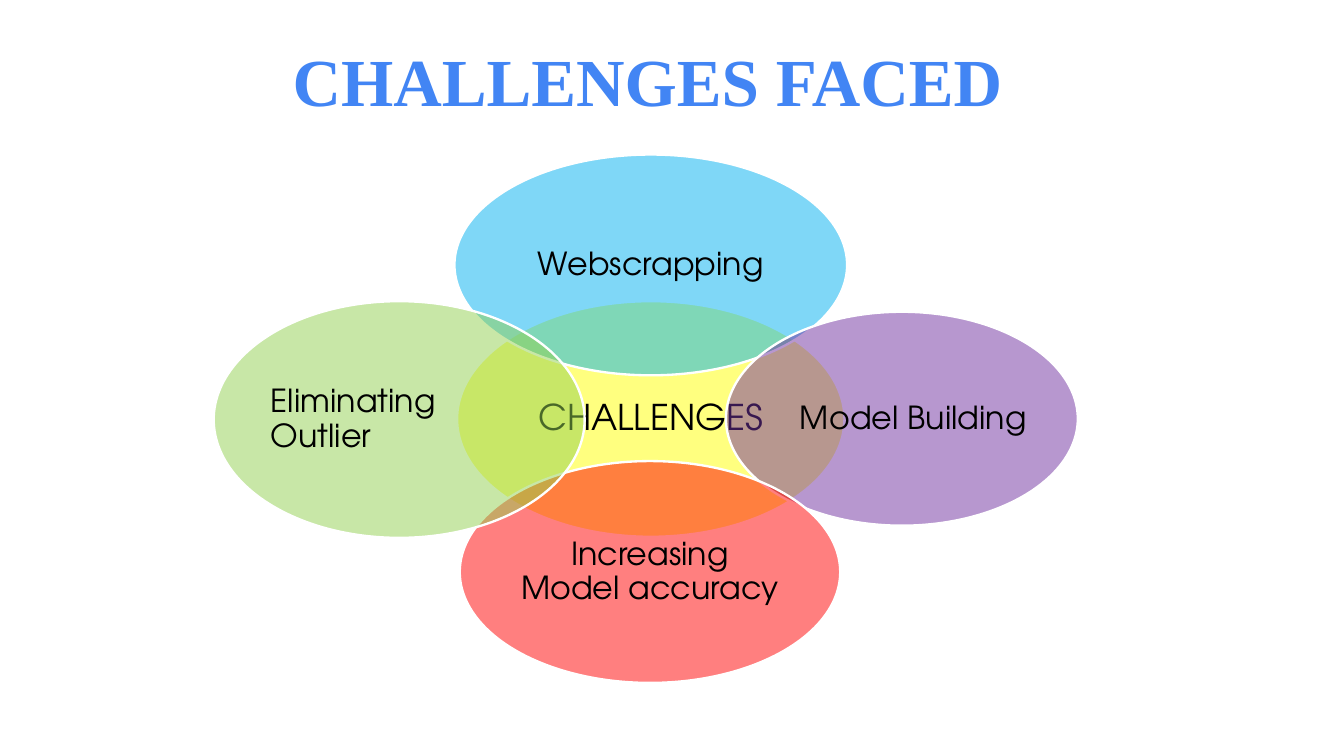
from pptx import Presentation
from pptx.dml.color import RGBColor
from pptx.enum.shapes import MSO_SHAPE
from pptx.enum.text import MSO_ANCHOR, PP_ALIGN
from pptx.oxml.ns import qn
from pptx.util import Cm, Pt
from lxml import etree

OVAL = MSO_SHAPE.OVAL
LEFT, CENTER = PP_ALIGN.LEFT, PP_ALIGN.CENTER
TOP, MIDDLE = MSO_ANCHOR.TOP, MSO_ANCHOR.MIDDLE

BLACK = RGBColor(0x00, 0x00, 0x00)
WHITE = RGBColor(0xFF, 0xFF, 0xFF)
TITLE_BLUE = RGBColor(0x42, 0x85, 0xF4)
YELLOW = RGBColor(0xFF, 0xFF, 0x00)
SKY = RGBColor(0x00, 0xB0, 0xF0)
PURPLE = RGBColor(0x70, 0x30, 0xA0)
RED = RGBColor(0xFF, 0x00, 0x00)
GREEN = RGBColor(0x92, 0xD0, 0x50)

LABEL_FONT = "TeX Gyre Adventor"
TITLE_FONT = "Times New Roman"
INSCRIBED = 0.5 ** 0.5

CHALLENGES = [
    ("CHALLENGES", YELLOW, (4.6, 2.77, 7.32, 4.45), {"size": 19}),
    ("Webscrapping", SKY, (4.55, 0, 7.42, 4.17), {}),
    ("Model Building", PURPLE, (9.68, 2.97, 6.65, 4.04), {"shift": 0.22}),
    ("Increasing Model accuracy", RED, (4.65, 5.79, 7.19, 4.19), {}),
    ("Eliminating Outlier", GREEN, (0, 2.77, 7.01, 4.47), {"align": LEFT}),
]


def write_text(shape, text, font=LABEL_FONT, size=17, color=BLACK, bold=False,
               align=CENTER, anchor=MIDDLE, spacing=0.9, margins=(0.05, 0.05)):
    """Fill a shape with one formatted paragraph."""
    frame = shape.text_frame
    frame.word_wrap = True
    frame.vertical_anchor = anchor
    frame.margin_left = frame.margin_right = Cm(margins[0])
    frame.margin_top = frame.margin_bottom = Cm(margins[1])
    paragraph = frame.paragraphs[0]
    paragraph.alignment = align
    paragraph.line_spacing = spacing
    run = paragraph.add_run()
    run.text = text
    run.font.name = font
    run.font.size = Pt(size)
    run.font.bold = bold
    run.font.color.rgb = color


def add_ellipse(slide, color, left, top, width, height):
    """Draw a half-transparent ellipse with a white outline."""
    shape = slide.shapes.add_shape(OVAL, Cm(left), Cm(top), Cm(width), Cm(height))
    shape.shadow.inherit = False
    shape.fill.solid()
    shape.fill.fore_color.rgb = color
    color_element = shape.fill._xPr.find(qn("a:solidFill"))[0]
    etree.SubElement(color_element, qn("a:alpha")).set("val", "50000")
    shape.line.color.rgb = WHITE
    shape.line.width = Pt(1.25)


def add_label(slide, text, left, top, width, height, shift=0, **text_format):
    """Place a label in the rectangle inscribed in an ellipse."""
    inset = (1 - INSCRIBED) / 2
    label = slide.shapes.add_textbox(
        Cm(left + width * inset + shift), Cm(top + height * inset),
        Cm(width * INSCRIBED), Cm(height * INSCRIBED))
    write_text(label, text, **text_format)


def add_title(slide, left, top, width, height):
    """Move and format the slide title."""
    title = slide.shapes.title
    title.left, title.top = Cm(left), Cm(top)
    title.width, title.height = Cm(width), Cm(height)
    write_text(title, "CHALLENGES FACED", font=TITLE_FONT, size=36,
               color=TITLE_BLUE, bold=True, align=LEFT, anchor=TOP,
               spacing=1.0, margins=(0.25, 0.13))


def add_venn(slide, left, top):
    """Draw the overlapping challenges from the given corner."""
    for text, color, (x, y, width, height), label_format in CHALLENGES:
        box = (left + x, top + y, width, height)
        add_ellipse(slide, color, *box)
        add_label(slide, text, *box, **label_format)


def main():
    """Build and save the presentation."""
    presentation = Presentation()
    presentation.slide_width = Cm(25.4)
    presentation.slide_height = Cm(14.28)
    slide = presentation.slides.add_slide(presentation.slide_layouts[5])
    add_venn(slide, 4.04, 2.92)
    add_title(slide, 5.28, 0.61, 14.86, 1.93)
    presentation.save("out.pptx")


main()
